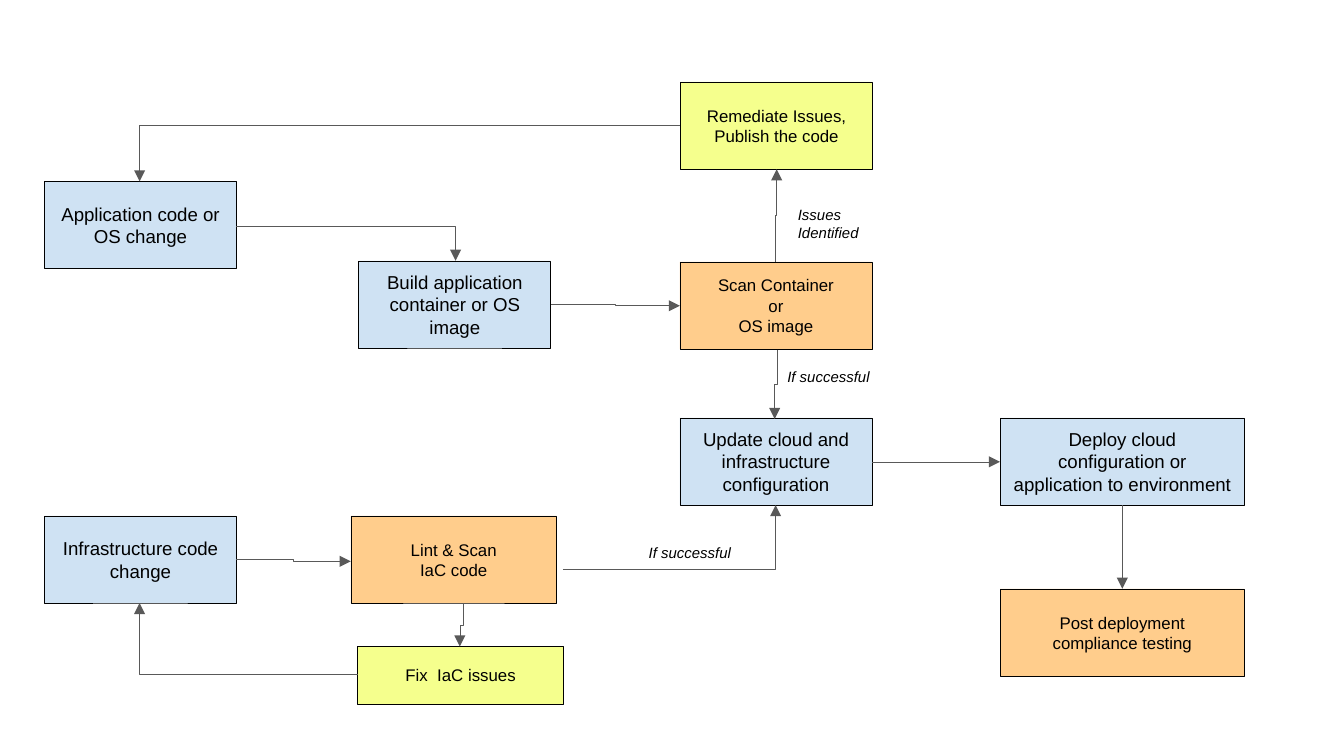
from dataclasses import dataclass

from lxml import etree
from pptx import Presentation
from pptx.dml.color import RGBColor
from pptx.enum.shapes import MSO_CONNECTOR, MSO_SHAPE
from pptx.enum.text import MSO_ANCHOR, MSO_AUTO_SIZE, PP_ALIGN
from pptx.oxml.ns import qn
from pptx.shapes.shapetree import SlideShapes
from pptx.text.text import TextFrame
from pptx.util import Cm, Pt

RECT = MSO_SHAPE.RECTANGLE
ELBOW = MSO_CONNECTOR.ELBOW
MIDDLE = MSO_ANCHOR.MIDDLE
CENTER = PP_ALIGN.CENTER
LEFT = PP_ALIGN.LEFT
GROW = MSO_AUTO_SIZE.SHAPE_TO_FIT_TEXT

BLUE = RGBColor(0xCF, 0xE2, 0xF3)
ORANGE = RGBColor(0xFF, 0xCD, 0x8C)
YELLOW = RGBColor(0xF5, 0xFF, 0x8D)
BLACK = RGBColor(0x00, 0x00, 0x00)
GRAY = RGBColor(0x59, 0x59, 0x59)

FONT = "Arial"
THIN = Pt(0.25)
INSET = Cm(0.25)
WIDE = 4.62
LINT = 3.89
CORNER, ACROSS, UPDOWN = "corner", "across", "updown"


@dataclass(frozen=True)
class Step:
    lines: tuple[str, ...]
    left: float
    top: float
    fill: RGBColor
    width: float = 3.63
    height: float = 1.65


@dataclass(frozen=True)
class Label:
    text: str
    left: float
    top: float
    height: float = 0.61
    width: float = 2.39


@dataclass(frozen=True)
class Arrow:
    start: tuple[float, float]
    end: tuple[float, float]
    route: str


STEPS = (
    Step(("Build application container or OS image",), 6.78, 4.93, BLUE),
    Step(("Deploy cloud configuration or application to environment",), 18.9, 7.9, BLUE, WIDE),
    Step(("Update cloud and infrastructure configuration",), 12.85, 7.9, BLUE),
    Step(("Application code or OS change",), 0.84, 3.43, BLUE),
    Step(("Infrastructure code change",), 0.84, 9.75, BLUE),
    Step(("Scan Container", "or", "OS image"), 12.85, 4.95, ORANGE),
    Step(("Post deployment", "compliance testing"), 18.9, 11.13, ORANGE, WIDE),
    Step(("Lint & Scan", "IaC code"), 6.63, 9.75, ORANGE, LINT),
    Step(("Remediate Issues,", "Publish the code"), 12.86, 1.55, YELLOW),
    Step(("Fix  IaC issues",), 6.76, 12.22, YELLOW, LINT, 1.09),
)

LABELS = (
    Label("If successful", 14.63, 6.83),
    Label("Issues Identified", 14.83, 3.76, 0.94),
    Label("If successful", 12.01, 10.16),
)

ARROWS = (
    Arrow((4.47, 4.27), (8.61, 4.93), CORNER),
    Arrow((10.41, 5.75), (12.85, 5.78), ACROSS),
    Arrow((16.48, 8.73), (18.9, 8.73), ACROSS),
    Arrow((14.68, 6.61), (14.64, 7.92), UPDOWN),
    Arrow((21.21, 9.55), (21.21, 11.13), UPDOWN),
    Arrow((4.47, 10.57), (6.63, 10.61), ACROSS),
    Arrow((10.64, 10.77), (14.66, 9.55), CORNER),
    Arrow((14.66, 4.95), (14.68, 3.2), UPDOWN),
    Arrow((12.85, 2.36), (2.64, 3.43), CORNER),
    Arrow((8.76, 11.4), (8.69, 12.22), UPDOWN),
    Arrow((6.76, 12.75), (2.64, 11.4), CORNER),
)


def write(frame: TextFrame, lines: tuple[str, ...], size: int,
          align: PP_ALIGN, slant: bool = False) -> None:
    frame.word_wrap = True
    for i, line in enumerate(lines):
        para = frame.add_paragraph() if i else frame.paragraphs[0]
        para.alignment = align
        run = para.add_run()
        run.text = line
        font = run.font
        font.name = FONT
        font.size = Pt(size)
        font.italic = slant
        font.color.rgb = BLACK


def draw_step(shapes: SlideShapes, step: Step) -> None:
    box = shapes.add_shape(RECT, Cm(step.left), Cm(step.top), Cm(step.width), Cm(step.height))
    box.shadow.inherit = False
    box.fill.solid()
    box.fill.fore_color.rgb = step.fill
    box.line.color.rgb = BLACK
    box.line.width = THIN
    frame = box.text_frame
    frame.vertical_anchor = MIDDLE
    main = step.fill == BLUE
    if main:
        frame.margin_left = frame.margin_right = INSET
        frame.margin_top = frame.margin_bottom = INSET
    write(frame, step.lines, 10 if main else 9, CENTER)


def draw_label(shapes: SlideShapes, label: Label) -> None:
    box = shapes.add_textbox(Cm(label.left), Cm(label.top), Cm(label.width), Cm(label.height))
    write(box.text_frame, (label.text,), 8, LEFT, True)
    box.text_frame.auto_size = GROW


def draw_arrow(shapes: SlideShapes, arrow: Arrow) -> None:
    (x1, y1), (x2, y2) = arrow.start, arrow.end
    turned = arrow.route == UPDOWN
    if turned:
        mid_x, mid_y = (x1 + x2) / 2, (y1 + y2) / 2
        half_w, half_h = (y2 - y1) / 2, (x1 - x2) / 2
        x1, x2 = mid_x - half_w, mid_x + half_w
        y1, y2 = mid_y - half_h, mid_y + half_h
    link = shapes.add_connector(ELBOW, Cm(x1), Cm(y1), Cm(x2), Cm(y2))
    link.line.color.rgb = GRAY
    link.line.width = THIN
    props = link._element.spPr
    if turned:
        props.find(qn("a:xfrm")).set("rot", "5400000")
    if arrow.route == CORNER:
        props.find(qn("a:prstGeom")).set("prst", "bentConnector2")
    tip = etree.SubElement(props.find(qn("a:ln")), qn("a:tailEnd"))
    tip.set("type", "triangle")
    etree.SubElement(props, qn("a:effectLst"))


def main() -> None:
    deck = Presentation()
    deck.slide_width, deck.slide_height = Cm(25.4), Cm(14.29)
    shapes = deck.slides.add_slide(deck.slide_layouts[6]).shapes
    for step in STEPS:
        draw_step(shapes, step)
    for arrow in ARROWS:
        draw_arrow(shapes, arrow)
    for label in LABELS:
        draw_label(shapes, label)
    deck.save("out.pptx")


if __name__ == "__main__":
    main()
